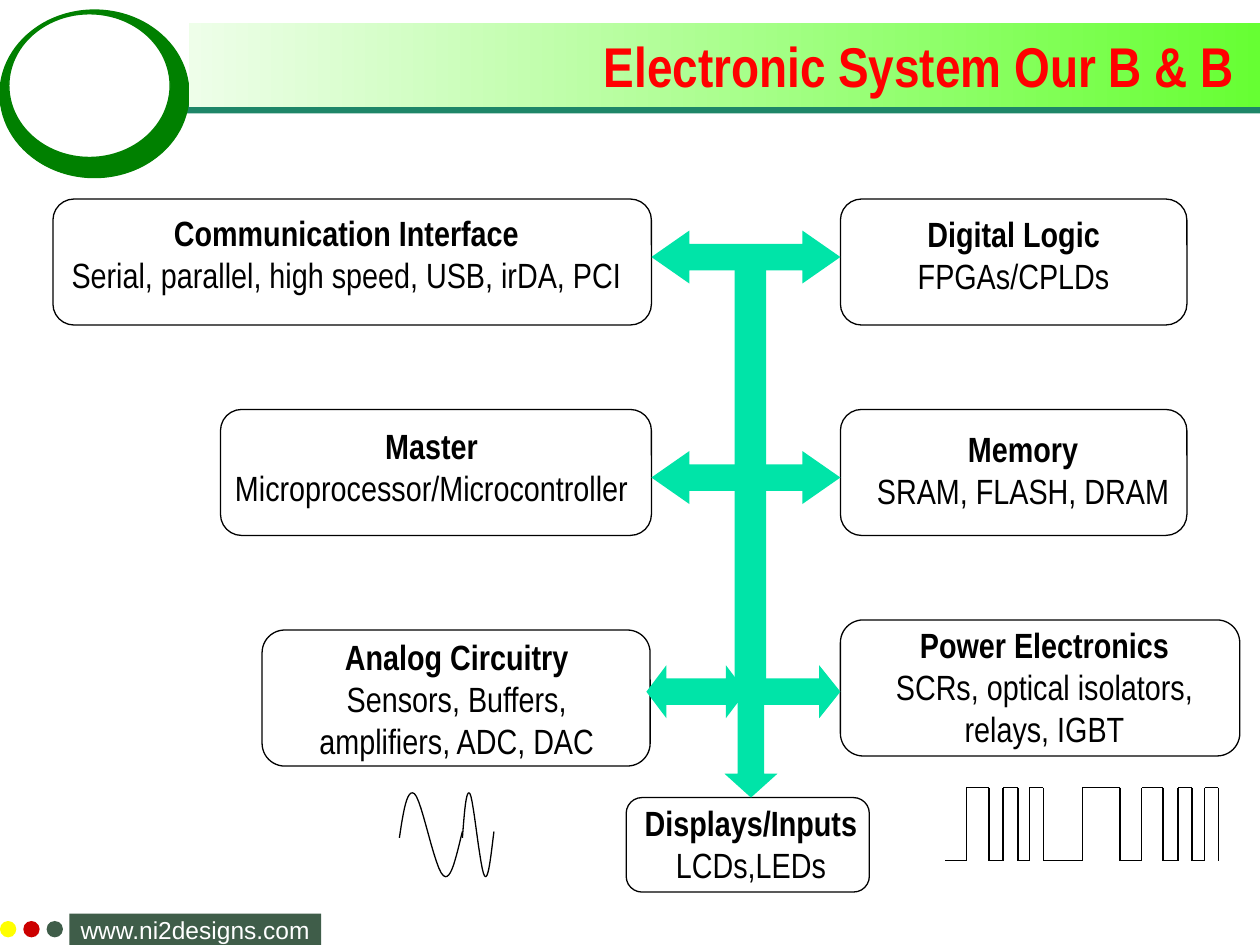
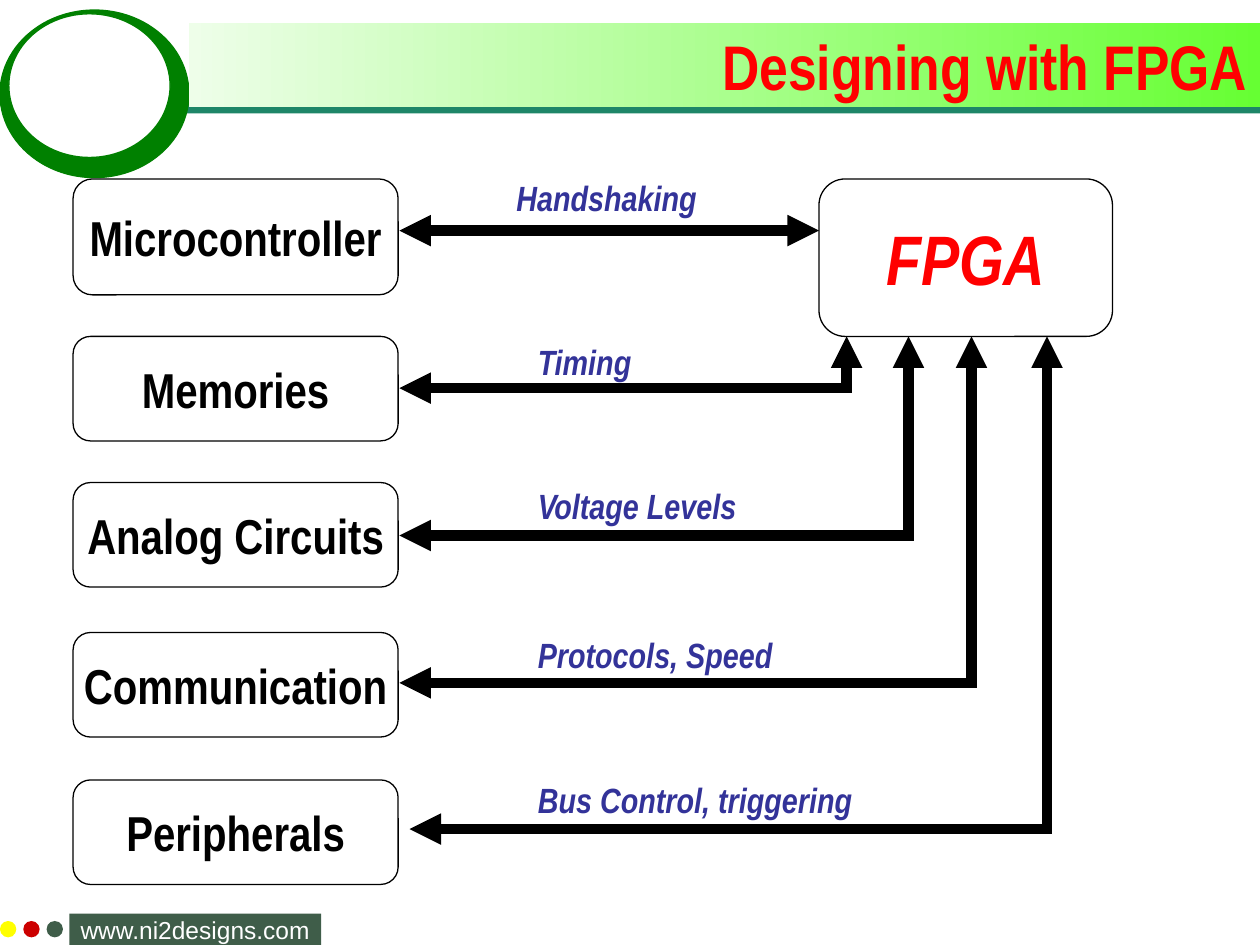
import pptx
import pptx.util
import pptx.dml.color
import pptx.enum.shapes
import pptx.enum.text
import lxml.etree
from itertools import pairwise

Inches, Pt = pptx.util.Inches, pptx.util.Pt
RGBColor = pptx.dml.color.RGBColor
SHAPE = pptx.enum.shapes.MSO_SHAPE
ALIGN = pptx.enum.text.PP_ALIGN
ANCHOR = pptx.enum.text.MSO_ANCHOR

BLACK = RGBColor(0x00, 0x00, 0x00)
WHITE = RGBColor(0xFF, 0xFF, 0xFF)
RED = RGBColor(0xFF, 0x00, 0x00)
LIME = RGBColor(0x66, 0xFF, 0x33)
PALE_LIME = RGBColor(0xEE, 0xFE, 0xE9)
RING_GREEN = RGBColor(0x00, 0x80, 0x00)
RULE_TEAL = RGBColor(0x1E, 0x86, 0x68)
FOOTER_GREEN = RGBColor(0x3F, 0x5D, 0x49)
DOT_YELLOW = RGBColor(0xFF, 0xFF, 0x00)
DOT_RED = RGBColor(0xCC, 0x00, 0x00)
BUS_MINT = RGBColor(0x00, 0xE4, 0xA8)
LABEL_BLUE = RGBColor(0x33, 0x33, 0x99)

NARROW = "Arial Narrow"
THIN = 0.75
THICK = 6
CORNER = 0.167
DRAWING_NS = "http://schemas.openxmlformats.org/drawingml/2006/main"


# Basic elements

def add_shape(slide, kind, box, fill=None, line=None, adjustments=()):
    shape = slide.shapes.add_shape(kind, *map(Inches, box))
    shape.shadow.inherit = False
    if fill is None:
        shape.fill.background()
    else:
        shape.fill.solid()
        shape.fill.fore_color.rgb = fill
    if line is None:
        shape.line.fill.background()
    else:
        shape.line.color.rgb = line
        shape.line.width = Pt(THIN)
    for index, value in enumerate(adjustments):
        shape.adjustments[index] = value
    return shape


def add_outline(slide, box):
    return add_shape(slide, SHAPE.ROUNDED_RECTANGLE, box, line=BLACK,
                     adjustments=[CORNER])


def set_text(shape, text, size, color, font=NARROW, bold=True, italic=False,
             align=ALIGN.CENTER, anchor=ANCHOR.MIDDLE, wrap=False):
    frame = shape.text_frame
    frame.text = text
    frame.word_wrap = wrap
    frame.vertical_anchor = anchor
    for paragraph in frame.paragraphs:
        paragraph.alignment = align
        style = paragraph.font
        style.name, style.size = font, Pt(size)
        style.bold, style.italic = bold, italic
        style.color.rgb = color
    return frame


def add_line(slide, start, end, width=THIN, ends=()):
    connector = slide.shapes.add_connector(
        pptx.enum.shapes.MSO_CONNECTOR.STRAIGHT, *map(Inches, (*start, *end)))
    connector.line.color.rgb = BLACK
    connector.line.width = Pt(width)
    outline = connector.line._get_or_add_ln()
    for end_tag in ends:
        lxml.etree.SubElement(outline, f"{{{DRAWING_NS}}}{end_tag}",
                              type="triangle")
    lxml.etree.SubElement(connector._element.spPr,
                          f"{{{DRAWING_NS}}}effectLst")


# Frame shared by both slides

def add_framed_slide(deck, title, title_size, right_inset=0.1):
    slide = deck.slides.add_slide(deck.slide_layouts[6])

    footer = add_shape(slide, SHAPE.RECTANGLE, (0.55, 7.25, 2, 0.25),
                       FOOTER_GREEN)
    set_text(footer, "www.ni2designs.com", 14, WHITE, "Arial", bold=False)
    for index, color in enumerate((DOT_YELLOW, DOT_RED, FOOTER_GREEN)):
        add_shape(slide, SHAPE.OVAL, (index * 0.185, 7.31, 0.13, 0.13), color)

    add_shape(slide, SHAPE.RECTANGLE, (1.08, 0.82, 8.92, 0.08), RULE_TEAL)
    add_shape(slide, SHAPE.OVAL, (0, 0.08, 1.5, 1.33), RING_GREEN, RING_GREEN)
    add_shape(slide, SHAPE.OVAL, (0.07, 0.11, 1.28, 1.14), WHITE, RING_GREEN)

    band = add_shape(slide, SHAPE.RECTANGLE, (1.5, 0.18, 8.5, 0.67))
    band.fill.gradient()
    band.fill.gradient_angle = 0
    for stop, color in zip(band.fill.gradient_stops, (PALE_LIME, LIME)):
        stop.color.rgb = color
    frame = set_text(band, title, title_size, RED, align=ALIGN.RIGHT, wrap=True)
    frame.margin_right = Inches(right_inset)
    return slide


# Slide 1: blocks around a bus

def add_block(slide, outline_box, caption_box, heading, *details):
    caption = add_shape(slide, SHAPE.RECTANGLE, caption_box, WHITE)
    frame = set_text(caption, "\n".join((heading, *details)), 20, BLACK,
                     bold=False, anchor=ANCHOR.TOP, wrap=True)
    frame.margin_left = frame.margin_right = 0
    frame.margin_top = frame.margin_bottom = 0
    frame.paragraphs[0].font.bold = True
    add_outline(slide, outline_box)


def bezier(controls, steps=12):
    for step in range(steps + 1):
        t = step / steps
        weights = ((1 - t) ** 3, 3 * t * (1 - t) ** 2, 3 * t * t * (1 - t),
                   t ** 3)
        yield tuple(sum(w * point[axis] for w, point in zip(weights, controls))
                    for axis in (0, 1))


def add_sine(slide, left, width):
    # Control points: share of the width, then height on the slide
    profile = [(0, 6.65), (0.06, 6.45), (0.12, 6.25), (0.24, 6.3),
               (0.36, 6.35), (0.56, 6.9), (0.7, 6.95),
               (0.82, 7), (0.9, 6.8), (1, 6.6)]
    controls = [(left + share * width, y) for share, y in profile]
    points = [(Inches(x), Inches(y)) for first in (0, 3, 6)
              for x, y in bezier(controls[first:first + 4])]
    builder = slide.shapes.build_freeform(*points[0])
    builder.add_line_segments(points[1:], close=False)
    wave = builder.convert_to_shape()
    wave.shadow.inherit = False
    wave.fill.background()
    wave.line.color.rgb = BLACK
    wave.line.width = Pt(THIN)


def add_pulse_train(slide, start, edges, low=6.83, high=6.25):
    points = [(start, low)]
    for index, x in enumerate(edges):
        levels = (low, high) if index % 2 == 0 else (high, low)
        points += [(x, level) for level in levels]
    for begin, end in pairwise(points):
        add_line(slide, begin, end)


def add_bus(slide):
    add_shape(slide, SHAPE.RECTANGLE, (5.83, 2.08, 0.25, 3.5), BUS_MINT)
    arrows = [
        (SHAPE.LEFT_RIGHT_ARROW, (5.17, 3.58, 1.5, 0.42), 0.717),
        (SHAPE.LEFT_RIGHT_ARROW, (5.17, 1.83, 1.5, 0.42), 0.717),
        (SHAPE.RIGHT_ARROW, (6, 5.28, 0.67, 0.42), 0.4),
        (SHAPE.LEFT_RIGHT_ARROW, (5.13, 5.28, 0.79, 0.42), 0.378),
        (SHAPE.DOWN_ARROW, (5.75, 5.58, 0.42, 0.75), 0.45),
    ]
    for kind, box, head in arrows:
        add_shape(slide, kind, box, BUS_MINT, adjustments=(0.5, head))


def build_system_slide(deck):
    slide = add_framed_slide(deck, "Electronic System Our B & B", 32, 0.2)
    blocks = [
        ((1.75, 3.25, 3.42, 1), (1.85, 3.37, 3.15, 0.83),
         "Master", "Microprocessor/Microcontroller"),
        ((0.42, 1.58, 4.75, 1), (0.5, 1.68, 4.5, 0.83),
         "Communication Interface",
         "Serial, parallel, high speed, USB, irDA, PCI"),
        ((6.67, 1.58, 2.75, 1), (6.96, 1.69, 2.17, 0.75),
         "Digital Logic", "FPGAs/CPLDs"),
        ((6.67, 3.25, 2.75, 1), (6.89, 3.39, 2.46, 0.71),
         "Memory", "SRAM, FLASH, DRAM"),
        ((2.08, 5, 3.08, 1.08), (2.25, 5.04, 2.75, 0.92),
         "Analog Circuitry", "Sensors, Buffers, amplifiers, ADC, DAC"),
        ((6.67, 4.92, 3.17, 1.08), (6.58, 4.95, 3.42, 1.05),
         "Power Electronics", "SCRs, optical isolators,", "relays, IGBT"),
        ((4.97, 6.33, 1.93, 0.75), (4.92, 6.36, 2.08, 0.73),
         "Displays/Inputs", "LCDs,LEDs"),
    ]
    for block in blocks:
        add_block(slide, *block)

    # Analog and switched signals
    add_sine(slide, 3.17, 0.5)
    add_sine(slide, 3.67, 0.25)
    add_pulse_train(slide, 7.5, [7.67, 7.85, 7.96, 8.08, 8.17, 8.28, 8.59,
                                 8.89, 9.06, 9.23, 9.35, 9.46, 9.56, 9.67])
    add_bus(slide)


# Slide 2: units wired to the FPGA

def add_unit(slide, box, name, size=28, color=BLACK, italic=False):
    set_text(add_outline(slide, box), name, size, color, italic=italic)


def add_link_label(slide, text, left, top, width):
    label = slide.shapes.add_textbox(*map(Inches, (left, top, width, 0.44)))
    set_text(label, text, 20, LABEL_BLUE, italic=True, align=ALIGN.LEFT,
             anchor=ANCHOR.TOP, wrap=True)


def build_fpga_slide(deck):
    slide = add_framed_slide(deck, "Designing with FPGA", 36)
    fpga_left, fpga_bottom = 6.5, 2.67
    add_unit(slide, (fpga_left, 1.42, 2.33, 1.25), "FPGA", 40, RED, True)

    units = [("Microcontroller", 1.42, 0.92), ("Memories", 2.67, 0.83),
             ("Analog Circuits", 3.83, 0.83), ("Communication", 5.02, 0.83),
             ("Peripherals", 6.19, 0.83)]
    for name, top, height in units:
        add_unit(slide, (0.58, top, 2.58, height), name)

    # Straight link, then links that turn up into the FPGA
    add_line(slide, (3.17, 1.83), (fpga_left, 1.83), THICK,
             ("headEnd", "tailEnd"))
    for start, turn, y in [(3.17, 6.72, 3.08), (3.17, 7.21, 4.25),
                           (3.17, 7.71, 5.42), (3.25, 8.31, 6.58)]:
        add_line(slide, (start, y), (turn + 0.04, y), THICK, ["headEnd"])
        add_line(slide, (turn, fpga_bottom), (turn, y), THICK, ["headEnd"])

    for label in [("Handshaking", 4, 1.35, 1.83),
                  ("Timing", 4.17, 2.65, 1.83),
                  ("Voltage Levels", 4.17, 3.8, 1.83),
                  ("Protocols, Speed", 4.17, 4.98, 2.17),
                  ("Bus Control, triggering", 4.17, 6.13, 3.25)]:
        add_link_label(slide, *label)


def main():
    deck = pptx.Presentation()
    deck.slide_width, deck.slide_height = Inches(10), Inches(7.5)
    build_system_slide(deck)
    build_fpga_slide(deck)
    deck.save("out.pptx")


if __name__ == "__main__":
    main()
